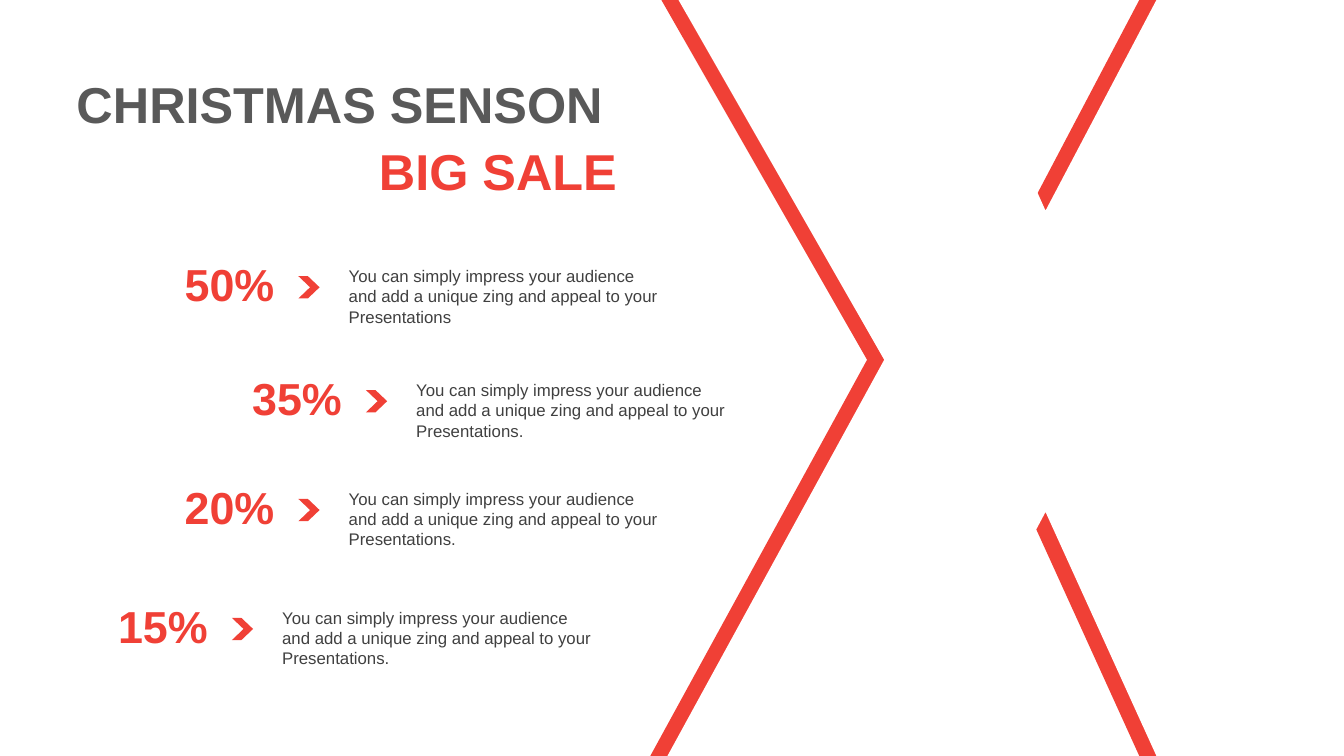
from pptx import Presentation
from pptx.dml.color import RGBColor
from pptx.enum.shapes import MSO_SHAPE
from pptx.enum.text import MSO_ANCHOR, MSO_AUTO_SIZE, PP_ALIGN
from pptx.util import Inches, Pt

CHEVRON = MSO_SHAPE.CHEVRON
LEFT, RIGHT = PP_ALIGN.LEFT, PP_ALIGN.RIGHT
RED, WHITE, GRAY, DARK = "F04036", "FFFFFF", "595959", "404040"

TITLE = [("CHRISTMAS SENSON ", GRAY), ("BIG SALE", RED)]
NOTE = ("You can simply impress your audience "
        "and add a unique zing and appeal to your Presentations")
# percent, note, left, top
OFFERS = [
    ("50%", NOTE, 1.16, 2.5),
    ("35%", NOTE + ".", 1.83, 3.63),
    ("20%", NOTE + ".", 1.16, 4.71),
    ("15%", NOTE + ".", 0.5, 5.89),
]
RIBBON = [
    (6.56, 0), (9.26, 0), (10.2, 2.09), (11.3, 0), (12.99, 0),
    (12.99, 1.44), (11.78, 3.57), (12.99, 5.76), (12.99, 7.5),
    (11.3, 7.5), (10.2, 5.08), (8.91, 7.5), (6.45, 7.5), (8.6, 3.57),
]
EDGE = 0.17


def box(*sides):
    return [Inches(side) for side in sides]


def paint(shape, color):
    shape.shadow.inherit = False
    shape.fill.solid()
    shape.fill.fore_color.rgb = RGBColor.from_string(color)
    shape.line.fill.background()


def style(para, size, color, bold, align):
    para.alignment = align
    font = para.font
    font.name, font.size, font.bold = "Arial", Pt(size), bold
    font.color.rgb = RGBColor.from_string(color)


def add_text(slide, text, place, size, color, bold=False, align=LEFT):
    frame = slide.shapes.add_textbox(*box(*place)).text_frame
    frame.word_wrap = True
    frame.text = text
    style(frame.paragraphs[0], size, color, bold, align)


def add_ribbon(slide, shift, color):
    points = [box(x + shift, y) for x, y in RIBBON]
    build = slide.shapes.build_freeform(*points[0])
    build.add_line_segments(points[1:], close=True)
    paint(build.convert_to_shape(), color)


def add_title(slide):
    title = slide.shapes.title
    title.left, title.top, title.width, title.height = box(0.59, 0.68, 5.63, 1.34)
    frame = title.text_frame
    frame.auto_size = MSO_AUTO_SIZE.NONE
    frame.vertical_anchor = MSO_ANCHOR.TOP
    frame.text = "\n".join(text for text, _ in TITLE)
    for para, (_, color) in zip(frame.paragraphs, TITLE):
        style(para, 36, color, True, RIGHT)
    frame.paragraphs[1].space_before = Pt(4)


def add_offer(slide, rate, note, left, top):
    add_text(slide, rate, (left, top, 1.66, 0.64), 32, RED, True, RIGHT)
    add_text(slide, note, (left + 2.2, top + 0.09, 3.29, 0.71), 12, DARK)
    arrow = slide.shapes.add_shape(
        CHEVRON, *box(left + 1.8, top + 0.24, 0.21, 0.22))
    arrow.adjustments[0] = 0.55
    paint(arrow, RED)


def main():
    deck = Presentation()
    deck.slide_width, deck.slide_height = box(13.33, 7.5)
    slide = deck.slides.add_slide(deck.slide_layouts[5])
    add_ribbon(slide, 0, RED)
    add_ribbon(slide, EDGE, WHITE)
    add_title(slide)
    for offer in OFFERS:
        add_offer(slide, *offer)
    deck.save("out.pptx")


if __name__ == "__main__":
    main()
